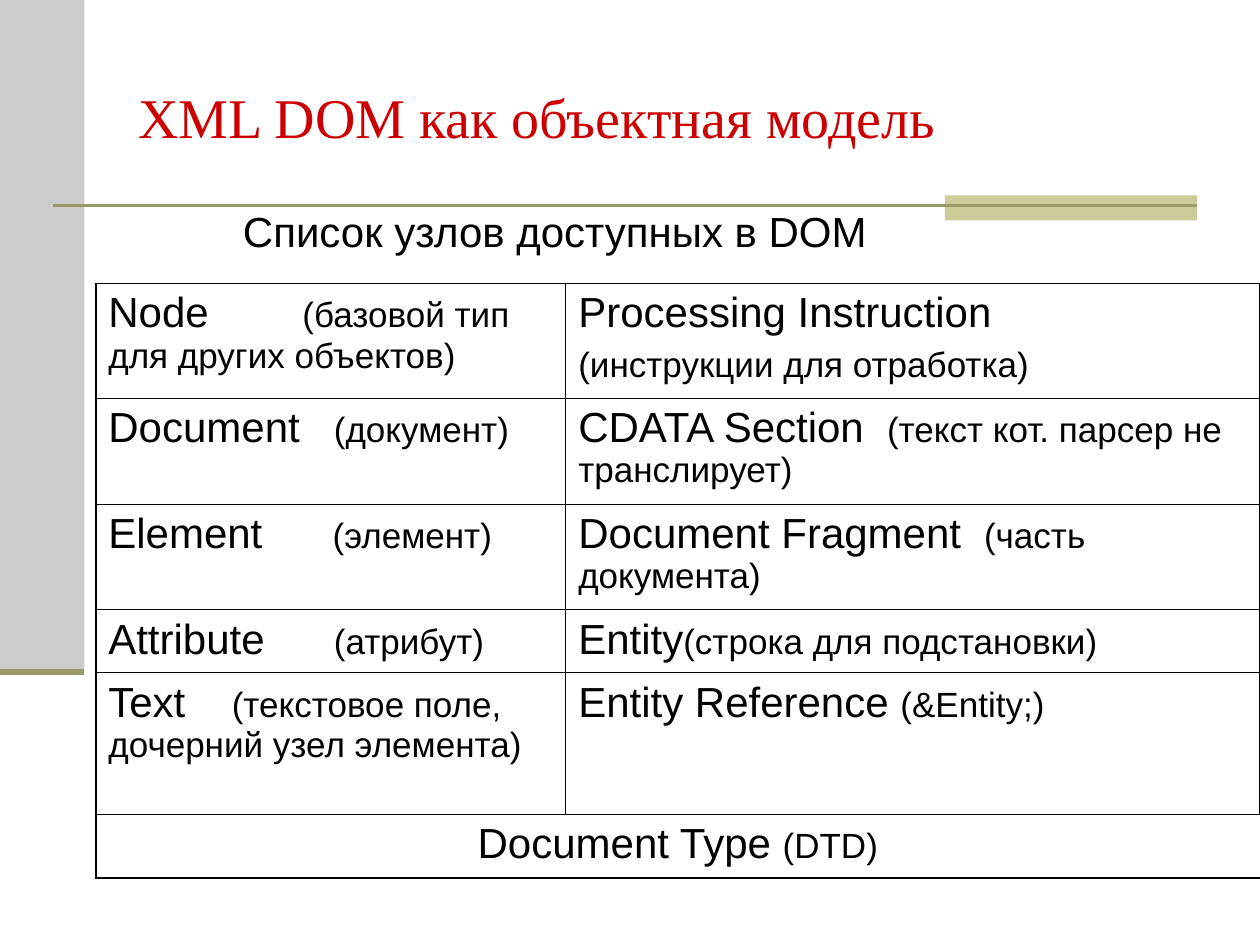
from pptx import Presentation
from pptx.dml.color import RGBColor
from pptx.enum.shapes import MSO_CONNECTOR, MSO_SHAPE
from pptx.enum.text import MSO_ANCHOR, PP_ALIGN
from pptx.oxml.ns import qn
from pptx.util import Inches, Pt
from lxml import etree

RECTANGLE = MSO_SHAPE.RECTANGLE
STRAIGHT = MSO_CONNECTOR.STRAIGHT
TOP, MIDDLE = MSO_ANCHOR.TOP, MSO_ANCHOR.MIDDLE
LEFT, CENTER = PP_ALIGN.LEFT, PP_ALIGN.CENTER

COLORS = {"gray": "CCCCCC", "sand": "CCCC99", "olive": "999966",
          "title": "CC0000", "text": "000000"}
NAME_SIZE, NOTE_SIZE = 24, 20
OUTER, INNER = 1.08, 0.45  # table border widths in points


def rgb(name):
    return RGBColor.from_string(COLORS[name])


class SlideBuilder:
    def __init__(self, slide, font="Arial"):
        self.slide = slide
        self.font = font

    def run(self, paragraph, text, size, color="text", font=None):
        run = paragraph.add_run()
        run.text = text
        run.font.size = Pt(size)
        run.font.name = font or self.font
        run.font.color.rgb = rgb(color)

    def rectangle(self, left, top, width, height, color):
        shape = self.slide.shapes.add_shape(
            RECTANGLE, Inches(left), Inches(top), Inches(width), Inches(height))
        shape.shadow.inherit = False
        shape.fill.solid()
        shape.fill.fore_color.rgb = rgb(color)
        shape.line.fill.background()

    def line(self, left, right, y, color, width):
        connector = self.slide.shapes.add_connector(
            STRAIGHT, Inches(left), Inches(y), Inches(right), Inches(y))
        connector.line.color.rgb = rgb(color)
        connector.line.width = Pt(width)
        etree.SubElement(connector._element.spPr, qn("a:effectLst"))

    def text(self, left, top, width, height, text, size, anchor=TOP, **style):
        box = self.slide.shapes.add_textbox(
            Inches(left), Inches(top), Inches(width), Inches(height))
        frame = box.text_frame
        frame.word_wrap = True
        frame.vertical_anchor = anchor
        self.run(frame.paragraphs[0], text, size, **style)

    def tab_stop(self, paragraph, position):
        tabs = etree.SubElement(paragraph._p.get_or_add_pPr(), qn("a:tabLst"))
        etree.SubElement(tabs, qn("a:tab"), pos=str(Inches(position)), algn="l")

    def borders(self, cell, widths):
        properties = cell._tc.get_or_add_tcPr()
        for side, width in widths.items():
            line = etree.SubElement(properties, qn(f"a:ln{side}"), w=str(Pt(width)))
            fill = etree.SubElement(line, qn("a:solidFill"))
            etree.SubElement(fill, qn("a:srgbClr"), val=COLORS["text"])

    def fill_cell(self, cell, name, note, tab=None, new_line=False, align=LEFT):
        frame = cell.text_frame
        paragraph = frame.paragraphs[0]
        paragraph.alignment = align
        if tab:
            self.tab_stop(paragraph, tab)
            name += "\t"
        self.run(paragraph, name, NAME_SIZE)
        if new_line:
            paragraph = frame.add_paragraph()
            paragraph.space_before = Pt(5)
        self.run(paragraph, note, NOTE_SIZE)

    def table(self, left, top, columns, heights, rows):
        table = self.slide.shapes.add_table(
            len(heights), len(columns), Inches(left), Inches(top),
            Inches(sum(columns)), Inches(sum(heights))).table
        table.first_row = table.horz_banding = False
        for column, width in zip(table.columns, columns):
            column.width = Inches(width)
        last_row, last_column = len(heights) - 1, len(columns) - 1
        for i, height in enumerate(heights):
            table.rows[i].height = Inches(height)
            for j in range(len(columns)):
                cell = table.cell(i, j)
                self.borders(cell, {
                    "L": OUTER if j == 0 else INNER,
                    "R": OUTER if j == last_column else INNER,
                    "T": OUTER if i == 0 else INNER,
                    "B": OUTER if i == last_row else INNER})
                cell.fill.background()
            # A row with a single entry spans all columns
            if len(rows[i]) == 1:
                table.cell(i, 0).merge(table.cell(i, last_column))
            for j, content in enumerate(rows[i]):
                self.fill_cell(table.cell(i, j), **content)


def entry(name, note, **layout):
    return {"name": name, "note": note, **layout}


NODE_ROWS = [
    [entry("Node", "(базовой тип для других объектов)", tab=1.54),
     entry("Processing Instruction", "(инструкции для отработка)", new_line=True)],
    [entry("Document", "(документ)", tab=1.79),
     entry("СDATA Section", "(текст кот. парсер не транслирует)", tab=2.45)],
    [entry("Element", "(элемент)", tab=1.78),
     entry("Document Fragment", "(часть документа)", tab=3.22)],
    [entry("Attribute", "(атрибут)", tab=1.79),
     entry("Entity", "(строка для подстановки)")],
    [entry("Text", "(текстовое поле, дочерний узел элемента)", tab=0.98),
     entry("Entity Reference ", "(&Entity;)")],
    [entry("Document Type ", "(DTD)", align=CENTER)],
]


def main():
    presentation = Presentation()
    presentation.slide_width, presentation.slide_height = Inches(10), Inches(7.5)
    builder = SlideBuilder(presentation.slides.add_slide(presentation.slide_layouts[6]))

    # Side bar and title rule
    builder.rectangle(0, 0, 0.67, 5.33, "gray")
    builder.rectangle(7.5, 1.55, 2, 0.2, "sand")
    builder.line(0.42, 9.5, 1.63, "olive", 1.5)
    builder.line(0, 0.67, 5.33, "olive", 3.5)

    # Title
    builder.text(1, 0.3, 8.5, 1.25, "XML DOM как объектная модель", 32,
                 anchor=MIDDLE, color="title", font="Times New Roman")

    # Table of DOM nodes
    builder.table(0.76, 2.25, [3.73, 5.51],
                  [0.91, 0.84, 0.84, 0.5, 1.12, 0.51], NODE_ROWS)

    # Table heading
    builder.text(1.83, 1.58, 6.25, 0.5, "Список узлов доступных в DOM", NAME_SIZE)

    presentation.save("out.pptx")


if __name__ == "__main__":
    main()
